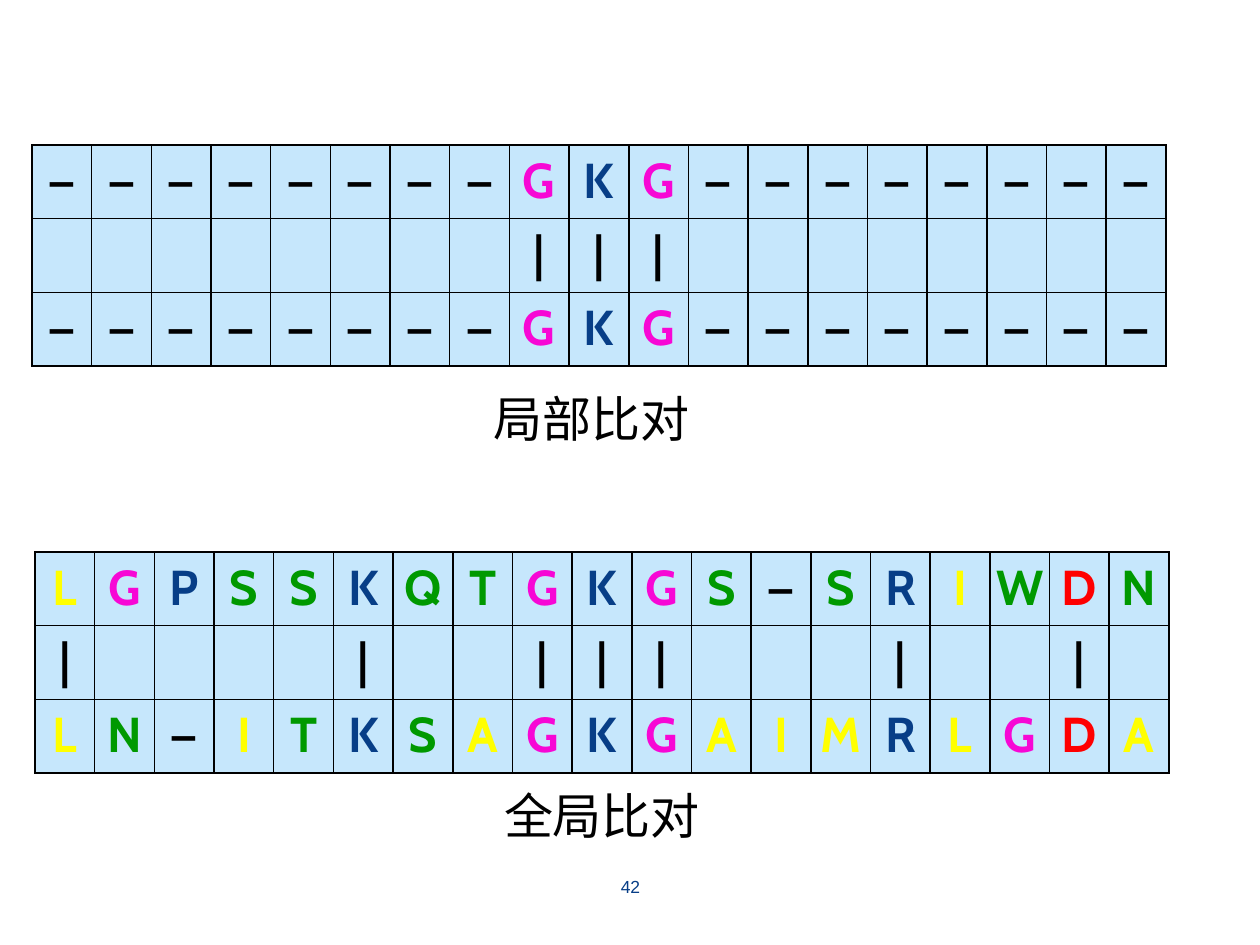
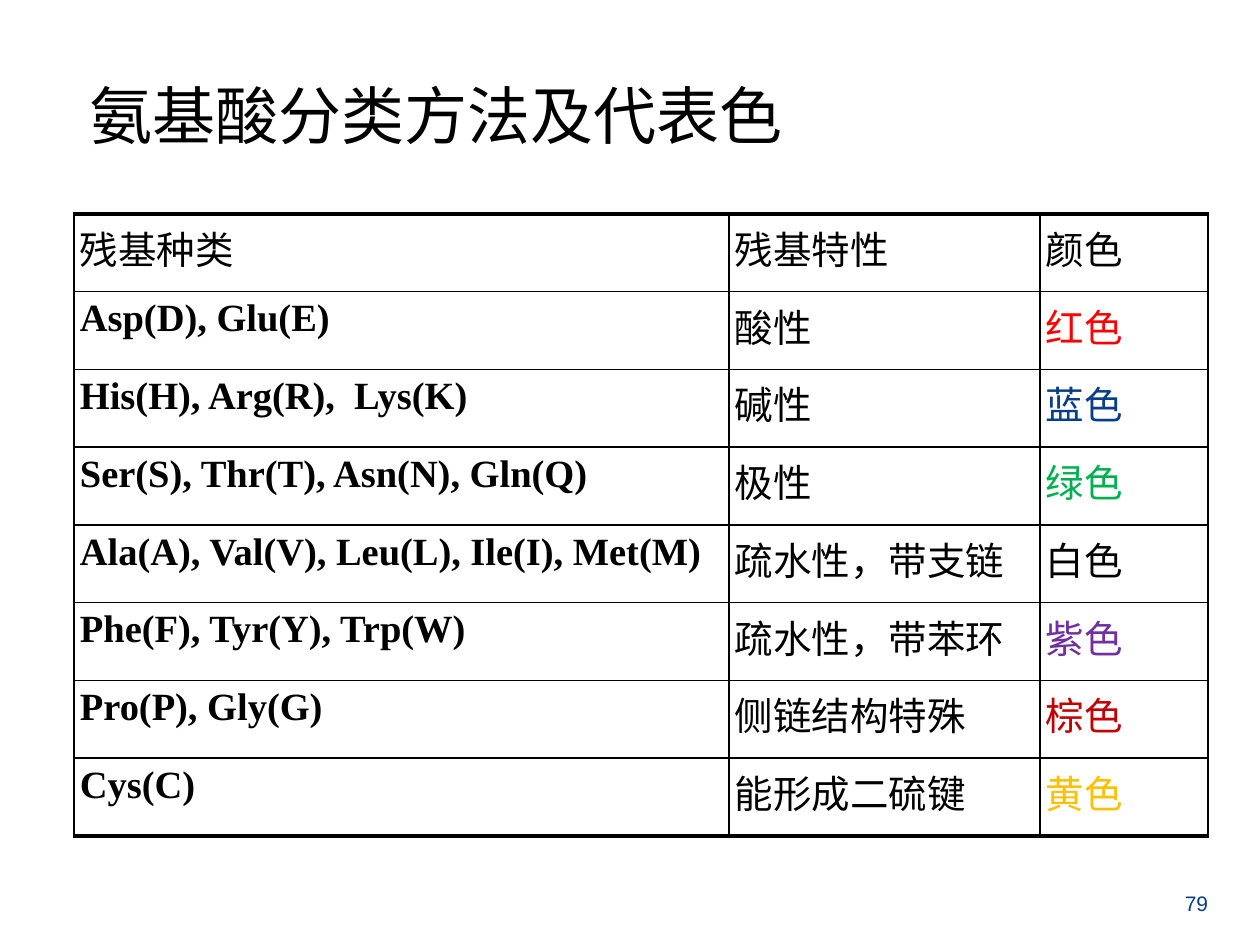
from lxml import etree
from pptx import Presentation
from pptx.dml.color import RGBColor
from pptx.enum.text import MSO_ANCHOR, PP_ALIGN
from pptx.oxml.ns import qn
from pptx.util import Emu, Pt

LEFT, CENTER, JUSTIFY = PP_ALIGN.LEFT, PP_ALIGN.CENTER, PP_ALIGN.JUSTIFY
TOP, MIDDLE, BOTTOM = MSO_ANCHOR.TOP, MSO_ANCHOR.MIDDLE, MSO_ANCHOR.BOTTOM

PX_PER_INCH = 126
INSET = 6

BLACK = RGBColor(0x00, 0x00, 0x00)
NAVY = RGBColor(0x07, 0x3E, 0x87)
PALE_BLUE = RGBColor(0xC6, 0xE7, 0xFC)
MAGENTA = RGBColor(0xF7, 0x07, 0xD5)
YELLOW = RGBColor(0xFF, 0xFF, 0x00)
GREEN = RGBColor(0x00, 0x99, 0x00)
RED = RGBColor(0xFF, 0x00, 0x00)
LEAF = RGBColor(0x00, 0xB0, 0x50)
PURPLE = RGBColor(0x70, 0x30, 0xA0)
BROWN = RGBColor(0xC0, 0x00, 0x00)
GOLD = RGBColor(0xFF, 0xC0, 0x00)

CHINESE_FONT = "Noto Sans CJK SC"
SEQUENCE_FONT = "Cabin"
RESIDUE_FONT = "Times New Roman"
NUMBER_FONT = "Arial"

# Sequence letters by colour
LETTER_GROUPS = {"G": MAGENTA, "PKR": NAVY, "SQTWN": GREEN, "LIAM": YELLOW, "D": RED}
LETTER_COLORS = {letter: color for group, color in LETTER_GROUPS.items() for letter in group}

GAP = "—"
LOCAL_SEQUENCE = GAP * 8 + "GKG" + GAP * 8
GLOBAL_FIRST = "LGPSSKQTGKGS—SRIWDN"
GLOBAL_SECOND = "LN—ITKSAGKGAIMRLGDA"

RESIDUE_HEADER = ("残基种类", "残基特性", "颜色")
RESIDUE_CLASSES = [
    ("Asp(D), Glu(E)", "酸性", "红色", RED),
    ("His(H), Arg(R),  Lys(K)", "碱性", "蓝色", NAVY),
    ("Ser(S), Thr(T), Asn(N), Gln(Q)", "极性", "绿色", LEAF),
    ("Ala(A), Val(V), Leu(L), Ile(I), Met(M)", "疏水性，带支链", "白色", BLACK),
    ("Phe(F), Tyr(Y), Trp(W)", "疏水性，带苯环", "紫色", PURPLE),
    ("Pro(P), Gly(G)", "侧链结构特殊", "棕色", BROWN),
    ("Cys(C)", "能形成二硫键", "黄色", GOLD),
]
RESIDUE_COLUMNS = (655, 311, 168)


def px(length):
    return Emu(round(length * 914400 / PX_PER_INCH))


def box(left, top, width, height):
    return px(left), px(top), px(width), px(height)


def write(frame, text, font, size, color=BLACK, bold=False, align=LEFT):
    """Set one paragraph of text and format it."""
    paragraph = frame.paragraphs[0]
    paragraph.text = text
    paragraph.alignment = align
    for run in paragraph.runs:
        run.font.name = font
        run.font.size = Pt(size)
        run.font.bold = bold
        run.font.color.rgb = color
        east_asian = etree.SubElement(run.font._element, qn("a:ea"))
        east_asian.set("typeface", font)
    return paragraph


def set_insets(holder):
    holder.margin_left = holder.margin_right = px(INSET)
    holder.margin_top = holder.margin_bottom = px(INSET)


def add_label(slide, area, text, font, size, color=BLACK, align=LEFT, anchor=TOP):
    frame = slide.shapes.add_textbox(*box(*area)).text_frame
    set_insets(frame)
    frame.word_wrap = False
    frame.vertical_anchor = anchor
    write(frame, text, font, size, color, align=align)


def add_caption(slide, left, top, text):
    add_label(slide, (left, top, 210, 62), text, CHINESE_FONT, 28)


def add_page_number(slide, area, number, size):
    add_label(slide, area, number, NUMBER_FONT, size, NAVY, CENTER, MIDDLE)


def set_title(slide, area, text):
    title = slide.shapes.title
    title.left, title.top, title.width, title.height = box(*area)
    set_insets(title.text_frame)
    title.text_frame.vertical_anchor = BOTTOM
    write(title.text_frame, text, CHINESE_FONT, 36)


def set_border(cell, side, points):
    properties = cell._tc.get_or_add_tcPr()
    line = etree.SubElement(properties, qn("a:ln" + side), w=str(Pt(points)))
    fill = etree.SubElement(line, qn("a:solidFill"))
    etree.SubElement(fill, qn("a:srgbClr"), val=str(BLACK))


def add_grid(slide, area, rows, columns, fill=None, edge=1):
    """Add a ruled table; edge is the weight of its top and bottom rules."""
    table = slide.shapes.add_table(rows, columns, *box(*area)).table
    table.first_row = table.horz_banding = False
    for r in range(rows):
        for c in range(columns):
            cell = table.cell(r, c)
            set_insets(cell)
            set_border(cell, "L", 1)
            set_border(cell, "R", 1)
            set_border(cell, "T", edge if r == 0 else 1)
            set_border(cell, "B", edge if r == rows - 1 else 1)
            if fill is None:
                cell.fill.background()
            else:
                cell.fill.solid()
                cell.fill.fore_color.rgb = fill
    return table


def add_alignment(slide, left, top, first, second):
    """Show two sequences with a bar between the letters that match."""
    bars = ["|" if a == b != GAP else "" for a, b in zip(first, second)]
    table = add_grid(slide, (left, top, 1134, 221), 3, len(first), PALE_BLUE)
    for r, line in enumerate((first, bars, second)):
        for c, letter in enumerate(line):
            if letter:
                write(table.cell(r, c).text_frame, letter, SEQUENCE_FONT, 28,
                      LETTER_COLORS.get(letter, BLACK), True, CENTER)


def add_residue_table(slide):
    table = add_grid(slide, (74, 214, 1134, 622), len(RESIDUE_CLASSES) + 1,
                     len(RESIDUE_COLUMNS), edge=2.25)
    for column, width in zip(table.columns, RESIDUE_COLUMNS):
        column.width = px(width)
    for r, (*texts, color) in enumerate([(*RESIDUE_HEADER, BLACK), *RESIDUE_CLASSES]):
        for c, text in enumerate(texts):
            residues = r > 0 and c == 0
            paragraph = write(table.cell(r, c).text_frame, text,
                              RESIDUE_FONT if residues else CHINESE_FONT, 22,
                              color if c == 2 else BLACK, residues, JUSTIFY)
            paragraph.space_before = Pt(10)


def main():
    deck = Presentation()
    deck.slide_width, deck.slide_height = px(1260), px(945)
    title_only, blank = deck.slide_layouts[5], deck.slide_layouts[6]

    # Local and global alignment
    alignments = deck.slides.add_slide(blank)
    add_page_number(alignments, (614, 871, 33, 31), "42", 10)
    add_alignment(alignments, 32, 145, LOCAL_SEQUENCE, LOCAL_SEQUENCE)
    add_caption(alignments, 488, 383, "局部比对")
    add_alignment(alignments, 35, 552, GLOBAL_FIRST, GLOBAL_SECOND)
    add_caption(alignments, 498, 780, "全局比对")

    # Amino acid classes and their colours
    classes = deck.slides.add_slide(title_only)
    set_title(classes, (84, 55, 1032, 103), "氨基酸分类方法及代表色")
    add_page_number(classes, (1178, 885, 37, 37), "79", 12)
    add_residue_table(classes)

    deck.save("out.pptx")


if __name__ == "__main__":
    main()
